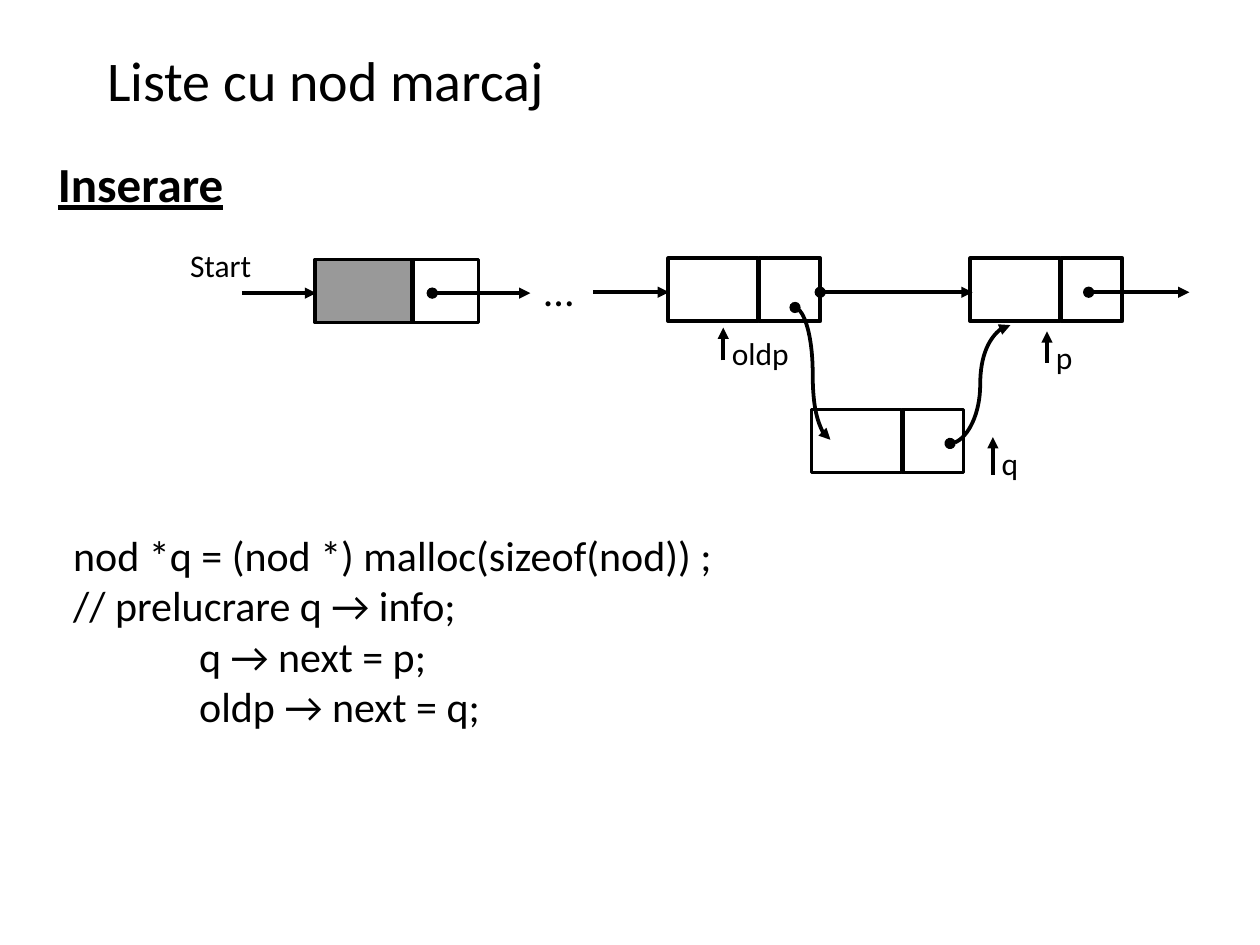
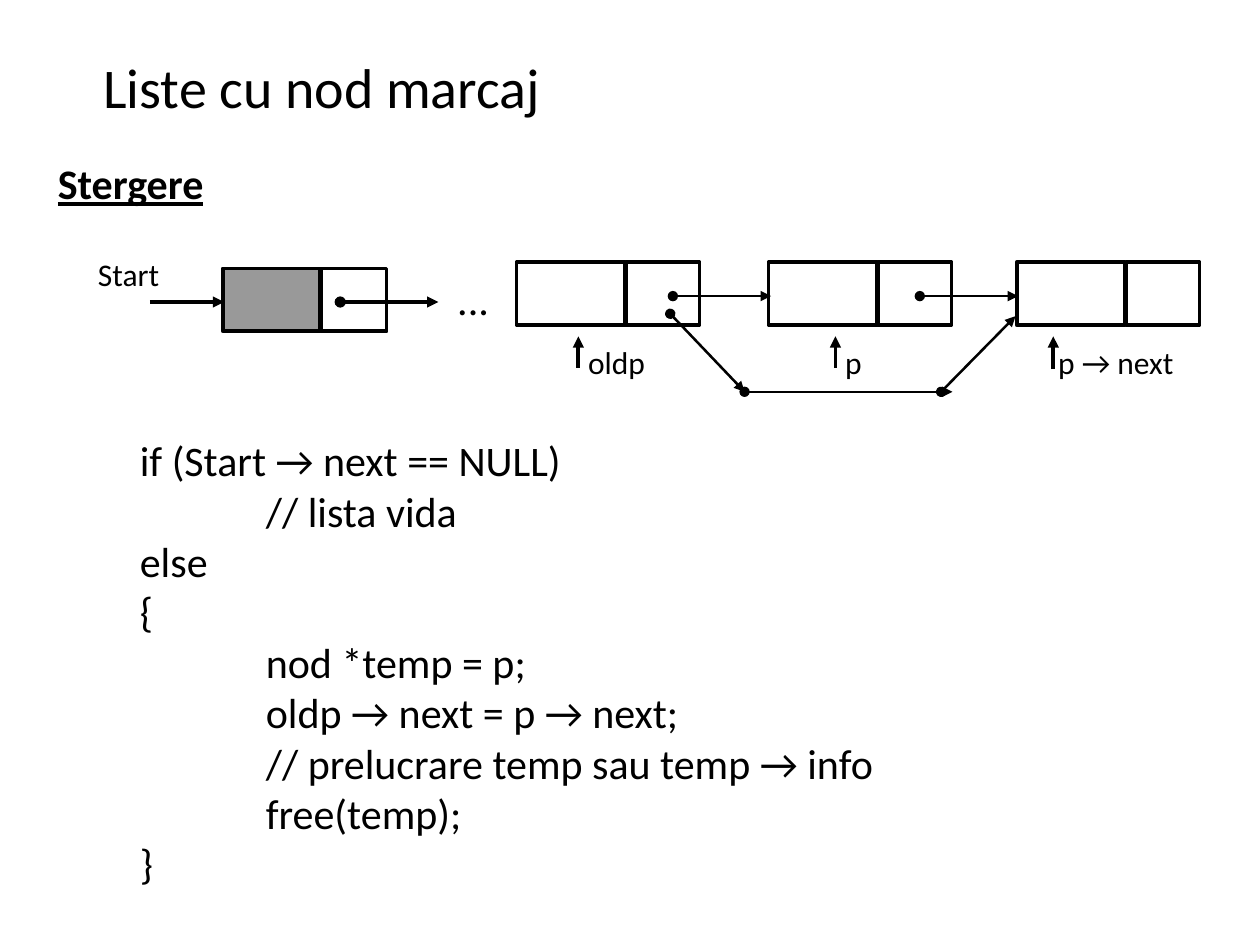
from pptx import Presentation
from pptx.util import Pt
from pptx.dml.color import RGBColor
from pptx.enum.shapes import MSO_SHAPE as Shape, MSO_CONNECTOR as Link
from pptx.enum.text import MSO_ANCHOR as Anchor, MSO_AUTO_SIZE as Fit, PP_ALIGN as Align
from pptx.oxml.ns import qn
from lxml.etree import SubElement

INK, GREY, FONT = "000000", "999999", "Calibri"
BOLD_LINE, THIN_LINE = 2.15, 1.45
HIGH, SPLIT, SEAM = 36, 0.675, 0.7


def write(text, shape, box, size=18, bold=False, line=False, anchor=Anchor.TOP):
    shape.left, shape.top, shape.width, shape.height = map(Pt, box)
    frame = shape.text_frame
    frame.word_wrap = True
    frame.auto_size = Fit.NONE
    frame.vertical_anchor = anchor
    for i, row in enumerate(text.splitlines()):
        para = frame.add_paragraph() if i else frame.paragraphs[0]
        para.alignment = Align.LEFT
        para.space_before = Pt(0)
        props = para._p.get_or_add_pPr()
        props.set("marL", str(Pt(72) if row.startswith("\t") else 0))
        props.set("indent", "0")
        SubElement(props, qn("a:buNone"))
        run = para.add_run()
        run.text = row.strip()
        font = run.font
        font.name, font.size, font.bold, font.underline = FONT, Pt(size), bold, line
        font.color.rgb = RGBColor.from_string(INK)


def arrow(slide, ends, width=BOLD_LINE, dot=False, kind=Link.STRAIGHT):
    link = slide.shapes.add_connector(kind, *map(Pt, ends))
    link.line.color.rgb = RGBColor.from_string(INK)
    link.line.width = Pt(width)
    props = link._element.spPr
    ln = props.find(qn("a:ln"))
    if dot:
        SubElement(ln, qn("a:headEnd"), type="oval")
    SubElement(ln, qn("a:tailEnd"), type="triangle")
    SubElement(props, qn("a:effectLst"))


INSERT = """nod *q = (nod *) malloc(sizeof(nod)) ;
// prelucrare q → info;
\tq → next = p;
\toldp → next = q;"""

DELETE = """if (Start → next == NULL)
\t// lista vida
else
{
\tnod *temp = p;
\toldp → next = p → next;
\t// prelucrare temp sau temp → info
\tfree(temp);
}"""

pages = [
    dict(
        title=(54, 24.5, 611.3, 41),
        head="Inserare", size=28, wide=226,
        code=INSERT, body=(34.6, 298.8, 499.7, 128.2),
        start=(180, 148.3), dots=(303.1, 147.6, 49, 34.6),
        cell=51.5, nodes=[(381.8, 147.6), (554.4, 147.6), (463.7, 234)],
        marks=[("oldp", 413.3, 187.2, 18.7, 411.1, 54.7),
               ("p", 598.3, 189.4, 18, 596.2, 20.2),
               ("q", 567.4, 249.8, 21.6, 565.2, 22.3)],
        width=BOLD_LINE,
        links=[(339.1, 167, 382.3, 167, False, Link.STRAIGHT),
               (468.7, 167, 555.8, 167, True, Link.STRAIGHT),
               (622.1, 167, 679.7, 167, True, Link.STRAIGHT),
               (542.9, 253.4, 577.4, 185.8, True, Link.CURVE),
               (454.3, 175.7, 474.5, 251.3, True, Link.CURVE)],
    ),
    dict(
        title=(51.8, 28.8, 419, 41),
        head="Stergere", size=24, wide=160,
        code=DELETE, body=(72.7, 244.8, 565.2, 298.1),
        start=(127.4, 153.4), dots=(254.2, 152.6, 44, 34.6),
        cell=62, nodes=[(x, 149.8) for x in (295.2, 439.2, 581)],
        marks=[("oldp", 330.5, 192.2, 18, 329, 56.9),
               ("p", 477.4, 192.2, 18, 475.9, 24.5),
               ("p → next", 601.9, 192.2, 18.7, 597.6, 102.2)],
        width=THIN_LINE,
        links=[(*ends, True, Link.STRAIGHT) for ends in (
            (384.5, 169.2, 440.6, 169.2),
            (525.6, 169.2, 581.8, 169.2),
            (383, 179.3, 425.5, 223.9),
            (425.5, 223.9, 544.3, 223.9),
            (537.8, 223.9, 580.3, 180.7))],
    ),
]

deck = Presentation()
deck.slide_width, deck.slide_height = Pt(720), Pt(540)

for page in pages:
    slide = deck.slides.add_slide(deck.slide_layouts[1])
    shapes = slide.shapes
    write("Liste cu nod marcaj", shapes.title, page["title"], size=32, anchor=Anchor.MIDDLE)
    write(page["code"], slide.placeholders[1], page["body"], size=24)

    x, y = page["start"]
    nodes = [(x, y, 55.4, GREY)]
    nodes += [(left, top, page["cell"], None) for left, top in page["nodes"]]
    for left, top, cell, fill in nodes:
        halves = [(left, cell, fill), (left + cell + SEAM, cell * SPLIT, None)]
        for side, wide, tint in halves:
            rect = shapes.add_shape(Shape.RECTANGLE, Pt(side), Pt(top), Pt(wide), Pt(HIGH))
            rect.shadow.inherit = False
            rect.line.color.rgb = RGBColor.from_string(INK)
            rect.line.width = Pt(BOLD_LINE)
            if tint:
                rect.fill.solid()
                rect.fill.fore_color.rgb = RGBColor.from_string(tint)
            else:
                rect.fill.background()

    mid = y + 19.2
    arrow(slide, (x - 41.8, mid, x + 0.7, mid))
    arrow(slide, (x + 67, mid, x + 123.1, mid), dot=True)
    for *ends, dot, kind in page["links"]:
        arrow(slide, ends, page["width"], dot, kind)

    labels = [
        (page["head"], (26, 84.2, page["wide"], 41),
         dict(size=page["size"], bold=True, line=True, anchor=Anchor.MIDDLE)),
        ("Start", (x - 78.5, y - 11, 66.2, 29.5), {}),
        ("...", page["dots"], dict(size=24)),
    ]
    for name, stem, top, long, left, wide in page["marks"]:
        arrow(slide, (stem, top + long, stem, top))
        labels.append((name, (left, top + 0.4, wide, 23.5), {}))
    for text, box, style in labels:
        write(text, shapes.add_textbox(*map(Pt, box)), box, **style)

deck.save("out.pptx")
